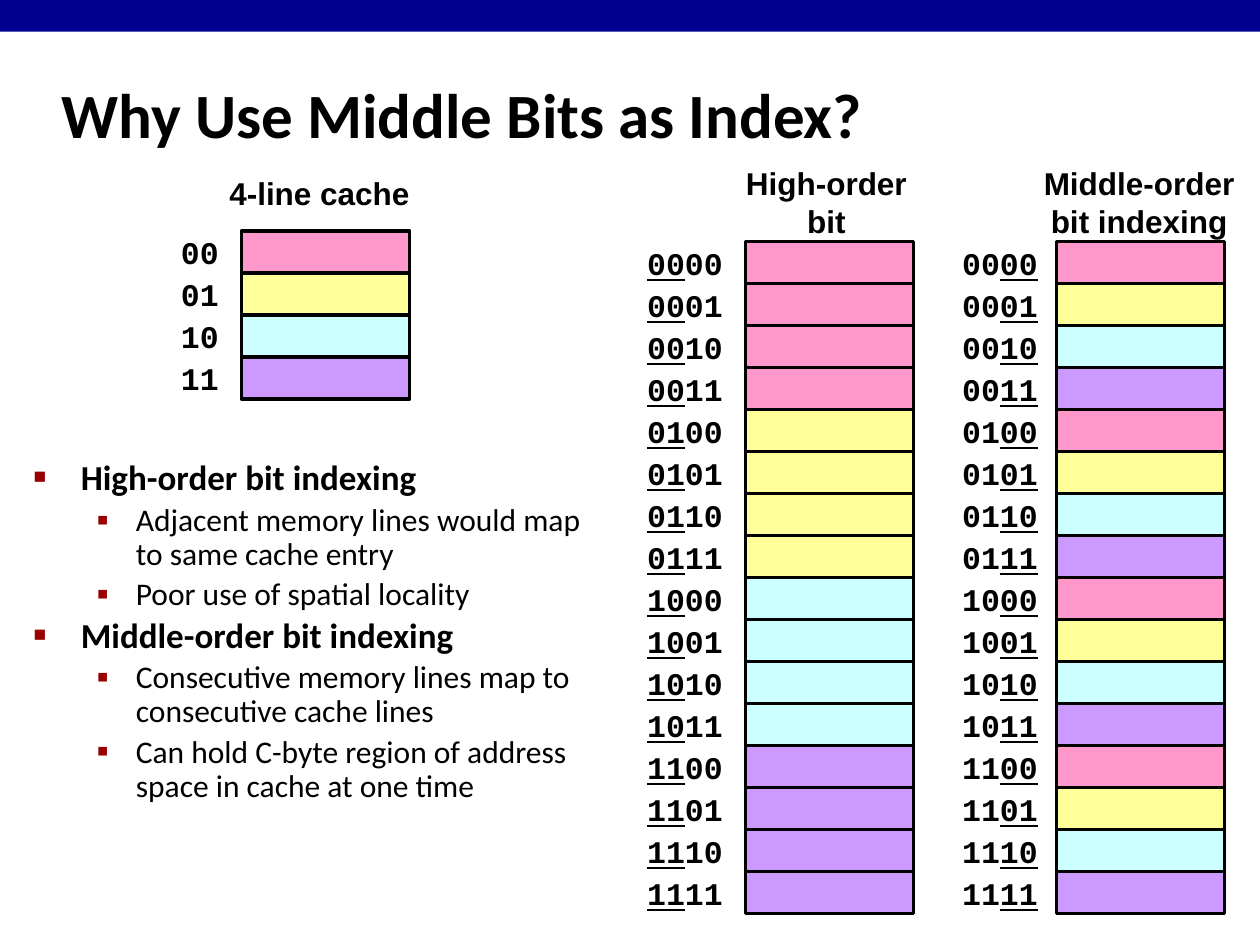
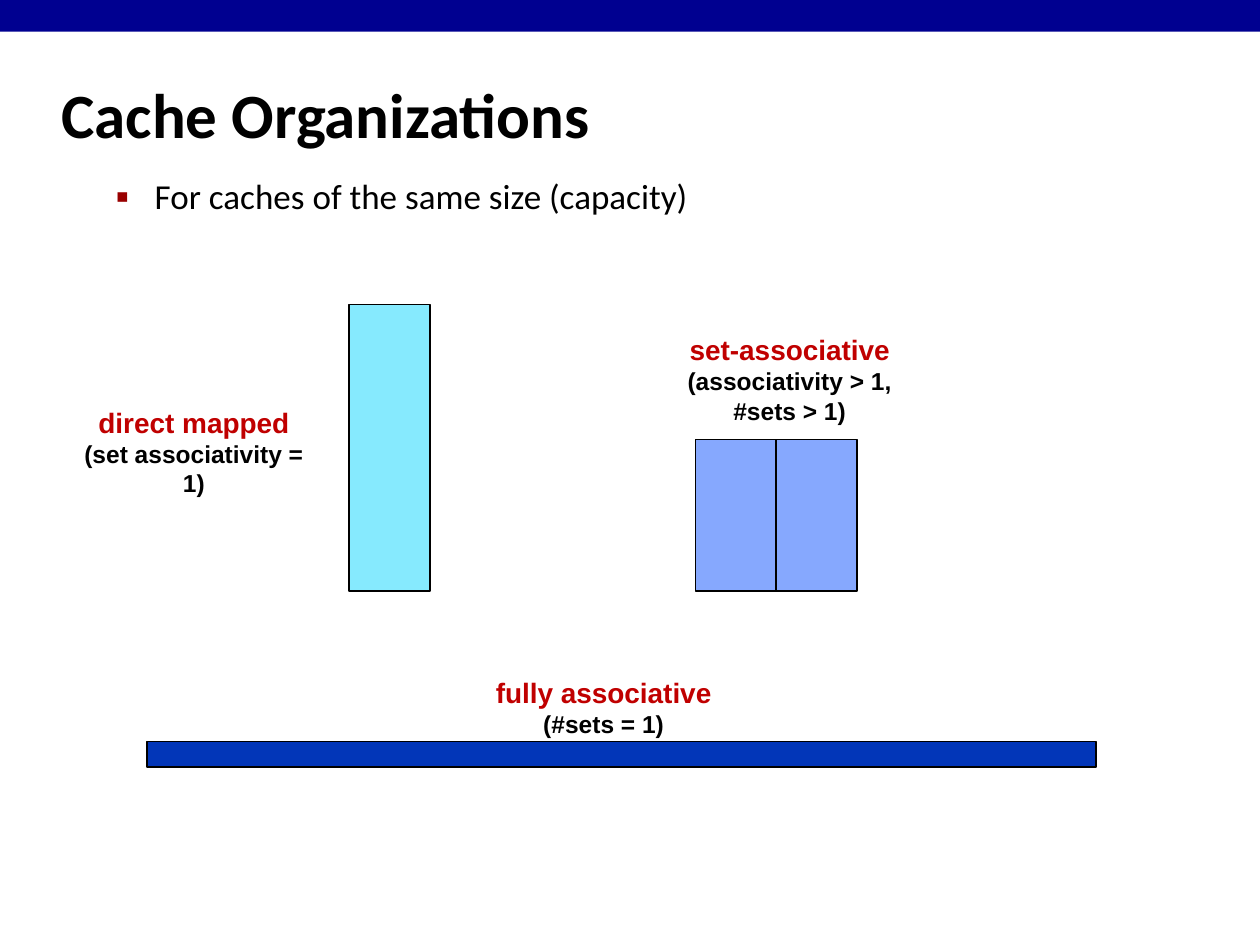
"""Build two slides on cache indexing and cache organizations."""
from collections.abc import Callable
from dataclasses import dataclass

from lxml import etree
from pptx import Presentation
from pptx.dml.color import RGBColor
from pptx.enum.shapes import MSO_SHAPE
from pptx.enum.text import MSO_ANCHOR, PP_ALIGN
from pptx.oxml.ns import qn
from pptx.shapes.autoshape import Shape
from pptx.slide import Slide
from pptx.util import Cm, Pt

RECT = MSO_SHAPE.RECTANGLE
TOP, MIDDLE = MSO_ANCHOR.TOP, MSO_ANCHOR.MIDDLE
LEFT, CENTER, RIGHT = PP_ALIGN.LEFT, PP_ALIGN.CENTER, PP_ALIGN.RIGHT


@dataclass(frozen=True)
class Theme:
    """Colours, fonts and type sizes shared by the slides."""
    band: str = "000090"
    ink: str = "000000"
    paper: str = "FFFFFF"
    bullet: str = "990000"
    accent: str = "C00000"
    direct: str = "86EAFE"
    set_assoc: str = "86A8FE"
    full: str = "0236B8"
    sets: tuple[str, ...] = ("FF99CC", "FFFF99", "CCFFFF", "CC99FF")
    body_font: str = "Calibri"
    label_font: str = "Arial"
    code_font: str = "Courier New"
    title_size: int = 36
    topic_size: int = 20
    text_size: int = 18
    name_size: int = 16
    note_size: int = 14


T = Theme()
ROW = 2.54 / 3
CELL_WIDTH = 3.39
BITS_WIDTH = 1.27


@dataclass(frozen=True)
class Box:
    """A rectangle in centimetres."""
    x: float
    y: float
    w: float
    h: float


@dataclass(frozen=True)
class Level:
    """Indents and bullet of one outline level."""
    margin: float
    indent: float
    char: str
    percent: int


@dataclass(frozen=True)
class Bullet:
    """One outline paragraph."""
    text: str
    level: Level
    size: int
    spacing: float
    bold: bool = False


@dataclass(frozen=True)
class Column:
    """A column of memory or cache lines with binary labels."""
    heading: str
    heading_box: Box
    cell_x: float
    bits_x: float
    y: float
    digits: int
    set_of: Callable[[int], int]
    underlined: int | None = None


@dataclass(frozen=True)
class Organization:
    """A cache drawn as equal blocks, with a name and notes."""
    name: str
    notes: tuple[str, ...]
    text_box: Box
    block: Box
    ways: int
    color: str
    wrap: bool = False


TOPIC = Level(0.95, -0.95, "■", 60)
DETAIL = Level(2.06, -0.79, "▪", 110)

INDEXING_POINTS = (
    Bullet("High-order bit indexing", TOPIC, T.topic_size, 0.85, True),
    Bullet("Adjacent memory lines would map to same cache entry", DETAIL, T.text_size, 0.9),
    Bullet("Poor use of spatial locality", DETAIL, T.text_size, 0.9),
    Bullet("Middle-order bit indexing", TOPIC, T.topic_size, 0.85, True),
    Bullet("Consecutive memory lines map to consecutive cache lines", DETAIL, T.text_size, 0.9),
    Bullet("Can hold C-byte region of address space in cache at one time", DETAIL, T.text_size, 0.9),
)
CAPACITY_POINTS = (
    Bullet("For caches of the same size (capacity)", DETAIL, T.topic_size, 1.0),
)
COLUMNS = (
    Column("4-line cache", Box(4.37, 3.38, 4.14, 1.02), 4.87, 3.39, 4.66, 2, lambda n: n),
    Column("High-order\nbit indexing", Box(14.63, 3.18, 4.06, 1.78), 15.03, 13.55, 4.87, 4,
           lambda n: n // 4, 0),
    Column("Middle-order\nbit indexing", Box(20.78, 3.18, 4.37, 1.78), 21.3, 19.9, 4.87, 4,
           lambda n: n % 4, 1),
)
ORGANIZATIONS = (
    Organization("direct mapped", ("(set associativity = 1)",), Box(1.47, 8.05, 5.49, 1.52),
                 Box(7.04, 6.14, 1.63, 5.77), 1, T.direct, True),
    Organization("fully associative", ("(#sets = 1)",), Box(9.73, 13.49, 4.88, 1.52),
                 Box(2.96, 14.95, 19.14, 0.52), 1, T.full),
    Organization("set-associative", ("(associativity > 1,", "#sets > 1)"),
                 Box(13.61, 6.58, 4.62, 2.11), Box(14.02, 8.86, 1.63, 3.05), 2, T.set_assoc),
)


def add_rect(s: Slide, box: Box, color: str, line: float = 0) -> Shape:
    """Draw a flat rectangle, outlined when a line width is given."""
    sp = s.shapes.add_shape(RECT, Cm(box.x), Cm(box.y), Cm(box.w), Cm(box.h))
    sp.shadow.inherit = False
    sp.fill.solid()
    sp.fill.fore_color.rgb = RGBColor.from_string(color)
    if line:
        sp.line.color.rgb = RGBColor.from_string(T.ink)
        sp.line.width = Pt(line)
    else:
        sp.line.fill.background()
    return sp


def add_text_box(s: Slide, box: Box, wrap: bool, anchor: MSO_ANCHOR = TOP) -> Shape:
    """Place an empty text box."""
    sp = s.shapes.add_textbox(Cm(box.x), Cm(box.y), Cm(box.w), Cm(box.h))
    sp.text_frame.word_wrap = wrap
    sp.text_frame.vertical_anchor = anchor
    return sp


def next_paragraph(sp: Shape, align: PP_ALIGN = LEFT):
    """Return the empty first paragraph, or a new one."""
    tf = sp.text_frame
    p = tf.paragraphs[0] if not tf.paragraphs[0].runs else tf.add_paragraph()
    p.alignment = align
    return p


def add_run(p, text: str, *, size: int, font: str = T.label_font, color: str = T.ink,
            bold: bool = True, underline: bool = False) -> None:
    """Append formatted text to a paragraph."""
    r = p.add_run()
    r.text = text
    r.font.size = Pt(size)
    r.font.name = font
    r.font.bold = bold
    r.font.underline = underline
    r.font.color.rgb = RGBColor.from_string(color)


def set_bullet(p, level: Level) -> None:
    """Give a paragraph its level's indents and bullet."""
    pPr = p._p.get_or_add_pPr()
    pPr.set("marL", str(Cm(level.margin)))
    pPr.set("indent", str(Cm(level.indent)))
    color = etree.SubElement(pPr, qn("a:buClr"))
    etree.SubElement(color, qn("a:srgbClr"), val=T.bullet)
    etree.SubElement(pPr, qn("a:buSzPct"), val=str(level.percent * 1000))
    etree.SubElement(pPr, qn("a:buFont"), typeface=T.label_font)
    etree.SubElement(pPr, qn("a:buChar"), char=level.char)


def add_outline(s: Slide, box: Box, points: tuple[Bullet, ...]) -> None:
    """Write a bulleted outline."""
    sp = add_text_box(s, box, True)
    for i, point in enumerate(points):
        p = next_paragraph(sp)
        set_bullet(p, point.level)
        p.line_spacing = point.spacing
        if i:
            p.space_before = Pt(point.size * 0.2)
        add_run(p, point.text, size=point.size, font=T.body_font, bold=point.bold)


def add_column(s: Slide, col: Column) -> None:
    """Draw a heading and the labelled lines below it."""
    heading = add_text_box(s, col.heading_box, False)
    for text in col.heading.split("\n"):
        add_run(next_paragraph(heading, CENTER), text, size=T.text_size)
    for n in range(2 ** col.digits):
        y = col.y + n * ROW
        add_rect(s, Box(col.cell_x, y, CELL_WIDTH, ROW), T.sets[col.set_of(n)], 2)
        label = add_rect(s, Box(col.bits_x, y, BITS_WIDTH, ROW), T.paper)
        label.text_frame.word_wrap = False
        label.text_frame.vertical_anchor = MIDDLE
        p = next_paragraph(label, RIGHT)
        bits = f"{n:0{col.digits}b}"
        for i in range(col.digits // 2):
            add_run(p, bits[2 * i:2 * i + 2], size=T.text_size, font=T.code_font,
                    underline=i == col.underlined)


def add_organization(s: Slide, org: Organization) -> None:
    """Draw one cache organization with its caption."""
    b = org.block
    for way in range(org.ways):
        add_rect(s, Box(b.x + way * b.w, b.y, b.w, b.h), org.color, 1)
    sp = add_text_box(s, org.text_box, org.wrap)
    if org.wrap:
        sp.text_frame.margin_left, sp.text_frame.margin_right = Cm(0.15), Cm(0.76)
    add_run(next_paragraph(sp, CENTER), org.name, size=T.name_size, color=T.accent)
    for note in org.notes:
        add_run(next_paragraph(sp, CENTER), note, size=T.note_size)


def add_slide(prs, title: str) -> Slide:
    """Add a blank slide with the top band and a title."""
    s = prs.slides.add_slide(prs.slide_layouts[6])
    add_rect(s, Box(0, 0, 25.4, 0.64), T.band)
    sp = add_text_box(s, Box(0.99, 1.22, 21.08, 2.11), True, MIDDLE)
    add_run(next_paragraph(sp), title, size=T.title_size, font=T.body_font)
    return s


def main() -> None:
    """Build and save the presentation."""
    prs = Presentation()
    prs.slide_width, prs.slide_height = Cm(25.4), Cm(19.05)

    s = add_slide(prs, "Why Use Middle Bits as Index?")
    add_outline(s, Box(0.43, 9.19, 12.17, 8.28), INDEXING_POINTS)
    for col in COLUMNS:
        add_column(s, col)

    s = add_slide(prs, "Cache Organizations")
    add_outline(s, Box(0.81, 3.4, 23.09, 3.38), CAPACITY_POINTS)
    for org in ORGANIZATIONS:
        add_organization(s, org)

    prs.save("out.pptx")


if __name__ == "__main__":
    main()
